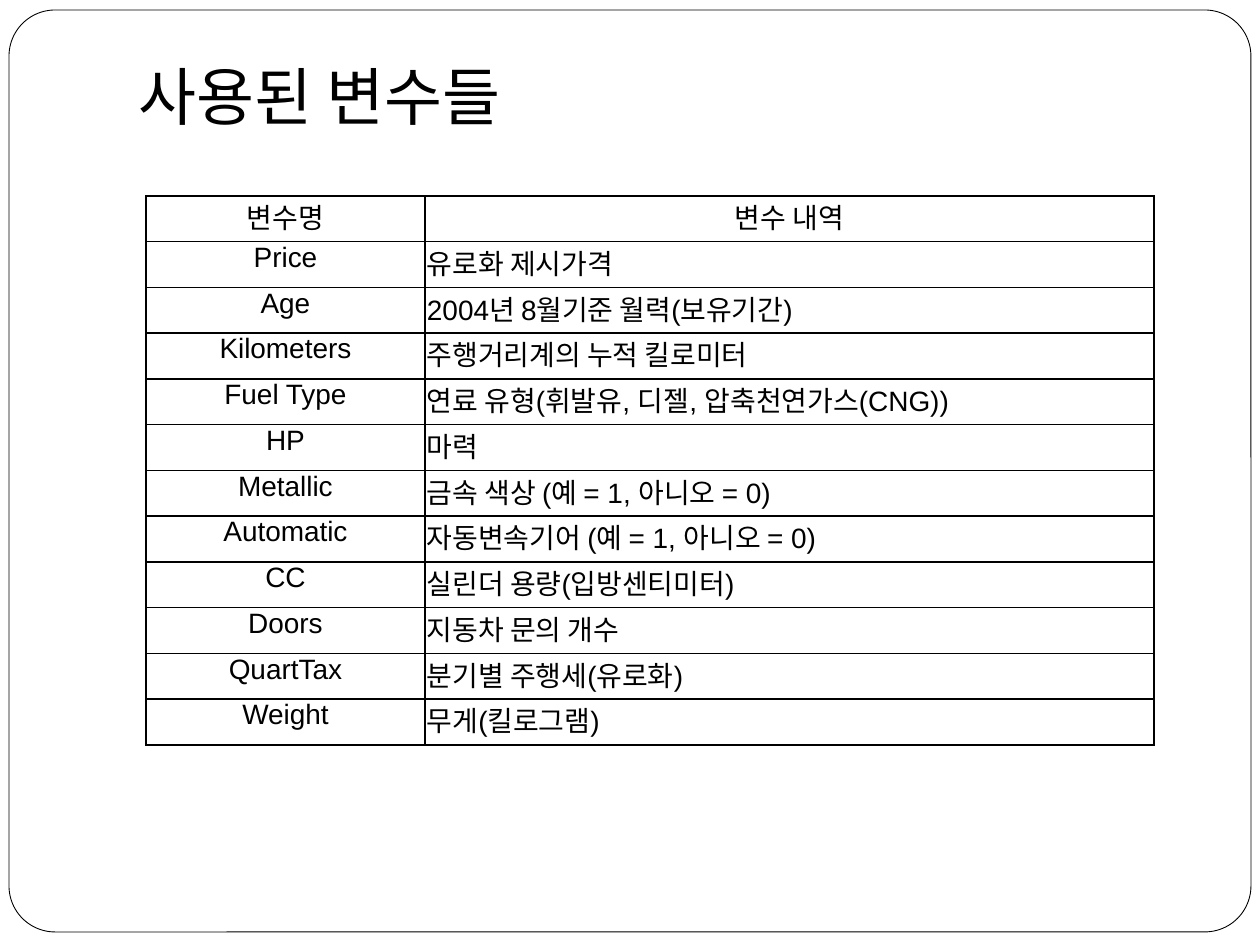
from pptx import Presentation
from pptx import util as u
from pptx.dml.color import RGBColor
from pptx.enum import shapes, text
from pptx.oxml import xmlchemy
from pptx.oxml.ns import qn
from lxml import etree

COLORS = {"paper": "FFFFFF", "ink": "000000"}

VARIABLES = [
    ("변수명", "변수 내역"),
    ("Price", "유로화 제시가격"),
    ("Age", "2004년 8월기준 월력(보유기간)"),
    ("Kilometers", "주행거리계의 누적 킬로미터"),
    ("Fuel Type", "연료 유형(휘발유, 디젤, 압축천연가스(CNG))"),
    ("HP", "마력"),
    ("Metallic", "금속 색상 (예 = 1, 아니오 = 0)"),
    ("Automatic", "자동변속기어 (예 = 1, 아니오 = 0)"),
    ("CC", "실린더 용량(입방센티미터)"),
    ("Doors", "지동차 문의 개수"),
    ("QuartTax", "분기별 주행세(유로화)"),
    ("Weight", "무게(킬로그램)"),
]


def px(length):
    return u.Emu(round(length * 914400 / 126))


def color(name):
    return RGBColor.from_string(COLORS[name])


class SlideBuilder:
    title_font, body_font = "Cabin", "Arial"
    title_size, body_size = 36, 16
    cell_inset, hanging = 2, 48

    def __init__(self, deck):
        self.slide = deck.slides.add_slide(deck.slide_layouts[5])

    def style_runs(self, paragraph, font, size):
        for run in paragraph.runs:
            run.font.name = font
            run.font.size = u.Pt(size)
            run.font.color.rgb = color("ink")

    def title(self, wording, left, top, width, height, space_below):
        title = self.slide.shapes.title
        title.left, title.top, title.width, title.height = map(px, (left, top, width, height))
        frame = title.text_frame
        frame.text = wording
        frame.auto_size = text.MSO_AUTO_SIZE.NONE
        frame.vertical_anchor = text.MSO_ANCHOR.BOTTOM
        frame.margin_bottom = px(space_below)
        frame.paragraphs[0].alignment = text.PP_ALIGN.LEFT
        self.style_runs(frame.paragraphs[0], self.title_font, self.title_size)

    def page_border(self, left, top, width, height, rounding):
        """Draw the rounded page outline behind the title."""
        border = self.slide.shapes.add_shape(
            shapes.MSO_SHAPE.ROUNDED_RECTANGLE, *map(px, (left, top, width, height)))
        border.adjustments[0] = rounding
        border.shadow.inherit = False
        border.fill.solid()
        border.fill.fore_color.rgb = color("paper")
        border.line.color.rgb = color("ink")
        border.line.width = u.Pt(0.5)
        self.slide.shapes.title.element.addprevious(border.element)

    def cell_borders(self, cell):
        properties = cell._tc.get_or_add_tcPr()
        for side in ("lnL", "lnR", "lnT", "lnB"):
            line = etree.SubElement(properties, qn(f"a:{side}"), w=str(u.Pt(1)))
            fill = etree.SubElement(line, qn("a:solidFill"))
            etree.SubElement(fill, qn("a:srgbClr"), val=COLORS["ink"])

    def cell(self, cell, wording, centred):
        self.cell_borders(cell)
        cell.fill.solid()
        cell.fill.fore_color.rgb = color("paper")
        cell.margin_left = cell.margin_right = px(self.cell_inset)
        cell.margin_top = cell.margin_bottom = px(self.cell_inset)
        paragraph = cell.text_frame.paragraphs[0]
        paragraph.text = wording
        paragraph.alignment = text.PP_ALIGN.CENTER if centred else text.PP_ALIGN.LEFT
        paragraph.line_spacing = 0.95
        indents = paragraph._p.get_or_add_pPr()
        indents.set("marL", str(px(self.hanging)))
        indents.set("indent", str(-px(self.hanging)))
        self.style_runs(paragraph, self.body_font, self.body_size)

    def table(self, rows, left, top, column_widths, height):
        table = self.slide.shapes.add_table(
            len(rows), len(column_widths),
            *map(px, (left, top, sum(column_widths), height))).table
        table.first_row = table.horz_banding = False
        for column, width in zip(table.columns, column_widths):
            column.width = px(width)
        for r, row in enumerate(rows):
            table.rows[r].height = px(height / len(rows))
            for c, wording in enumerate(row):
                self.cell(table.cell(r, c), wording, centred=r == 0 or c == 0)


def main():
    deck = Presentation()
    deck.slide_width, deck.slide_height = px(1260), px(945)
    builder = SlideBuilder(deck)
    builder.page_border(9, 10, 1242, 922, rounding=0.05)
    builder.title("사용된 변수들", 126, 63, 1071, 158, space_below=88)
    builder.table(VARIABLES, 146, 196, (279, 729), 549)
    deck.save("out.pptx")


if __name__ == "__main__":
    main()
